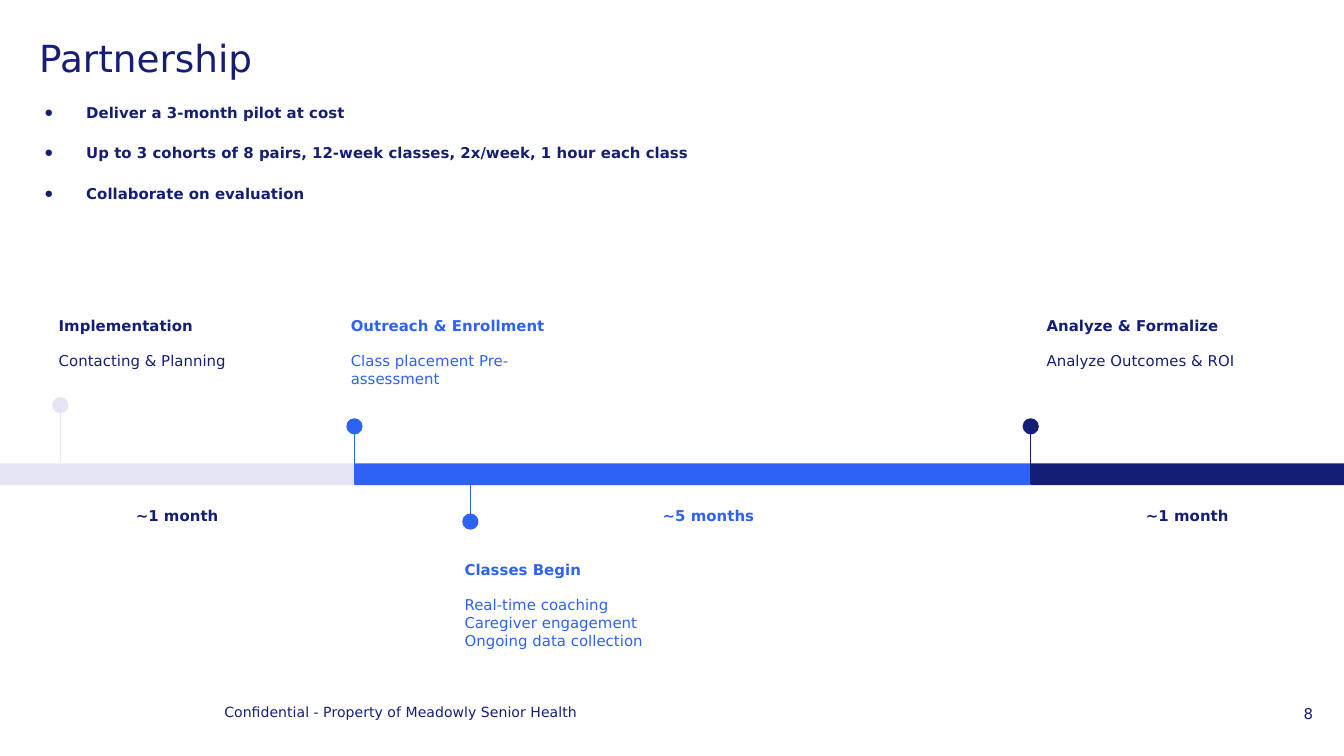
from lxml.etree import SubElement
from pptx import Presentation
from pptx.dml.color import RGBColor
from pptx.enum.shapes import MSO_CONNECTOR, MSO_SHAPE
from pptx.enum.text import MSO_ANCHOR, MSO_AUTO_SIZE, PP_ALIGN
from pptx.oxml.ns import qn
from pptx.util import Cm, Pt

FONT = "DejaVu Sans"
NAVY, BLUE, LILAC = "141E75", "2D62F5", "E4E4F5"
INSET = 0.25

PHASES = [
    (6.7, LILAC, "~1 month", NAVY, 0),
    (12.78, BLUE, "~5 months", BLUE, 0.3),
    (5.92, NAVY, "~1 month", NAVY, 0),
]
MILESTONES = [
    (1.14, -1.1, LILAC, NAVY, (0.86, -3.02, 5.03, 2.82),
     "Implementation", "Contacting & Planning"),
    (6.7, -0.7, BLUE, BLUE, (6.38, -3.02, 5.03, 2.82),
     "Outreach & Enrollment", "Class placement Pre-assessment"),
    (8.89, 1.1, BLUE, BLUE, (8.53, 1.58, 4.39, 2.82),
     "Classes Begin",
     "Real-time coaching Caregiver engagement\vOngoing data collection"),
    (19.48, -0.7, NAVY, NAVY, (19.53, -3.02, 5.03, 2.82),
     "Analyze & Formalize", "Analyze Outcomes & ROI"),
]
BULLETS = [
    "Deliver a 3-month pilot at cost",
    "Up to 3 cohorts of 8 pairs, 12-week classes, 2x/week, 1 hour each class",
    "Collaborate on evaluation",
]


def rgb(color):
    return RGBColor.from_string(color)


def write(tf, text, first=False, size=8, color=NAVY, bold=False,
          align=PP_ALIGN.LEFT, after=0, spacing=1.0):
    p = tf.paragraphs[0] if first else tf.add_paragraph()
    p.text = text
    p.alignment, p.line_spacing = align, spacing
    p.space_before, p.space_after = Pt(0), Pt(after)
    for r in p.runs:
        r.font.name, r.font.size, r.font.bold = FONT, Pt(size), bold
        r.font.color.rgb = rgb(color)
    return p


def setup_frame(tf, inset, anchor):
    tf.word_wrap, tf.auto_size = True, MSO_AUTO_SIZE.NONE
    tf.vertical_anchor = anchor
    tf.margin_left = tf.margin_right = Cm(inset)
    tf.margin_top = tf.margin_bottom = Cm(inset)
    return tf


def add_text(s, box, anchor=MSO_ANCHOR.TOP):
    sp = s.shapes.add_textbox(*map(Cm, box))
    return setup_frame(sp.text_frame, INSET, anchor)


def place(sp, box):
    sp.left, sp.top, sp.width, sp.height = map(Cm, box)
    return setup_frame(sp.text_frame, 0, MSO_ANCHOR.TOP)


def add_filled(s, kind, box, color):
    sp = s.shapes.add_shape(kind, *map(Cm, box))
    sp.shadow.inherit = False
    sp.fill.solid()
    sp.fill.fore_color.rgb = rgb(color)
    sp.line.fill.background()
    return sp


def add_title(s, box):
    write(place(s.shapes.title, box), "Partnership", first=True, size=20)


def add_bullets(s, box):
    tf = place(s.placeholders[1], box)
    for i, text in enumerate(BULLETS):
        p = write(tf, text, first=i == 0, bold=True, after=10.7, spacing=1.15)
        pPr = p._p.get_or_add_pPr()
        pPr.set("marL", str(Cm(1.27)))
        pPr.set("indent", str(-Cm(0.79)))
        buClr = SubElement(pPr, qn("a:buClr"))
        SubElement(buClr, qn("a:srgbClr"), val=NAVY)
        SubElement(pPr, qn("a:buChar"), char="●")


def add_pin(s, x, y, color, stem=1.08, d=0.28):
    end = y + stem if stem > 0 else y + stem
    c = s.shapes.add_connector(MSO_CONNECTOR.STRAIGHT,
                               Cm(x), Cm(y), Cm(x), Cm(end))
    c.line.color.rgb, c.line.width = rgb(color), Pt(0.75)
    SubElement(c._element.spPr, qn("a:effectLst"))
    dot = add_filled(s, MSO_SHAPE.OVAL, (x - d / 2, y - d / 2, d, d), color)
    dot.line.color.rgb, dot.line.width = rgb(color), Pt(0.75)


def add_timeline(s, box):
    left, top, _, height = box
    x, label_w = left, 4.01
    for width, fill, text, color, shift in PHASES:
        add_filled(s, MSO_SHAPE.RECTANGLE, (x, top, width, height), fill)
        label_x = x + (width - label_w) / 2 + shift
        tf = add_text(s, (label_x, top + 0.56, label_w, 2.82))
        write(tf, text, first=True, color=color, bold=True,
              align=PP_ALIGN.CENTER)
        x += width
    for pin_x, dy, fill, color, (dx, cap_y, w, h), head, detail in MILESTONES:
        add_pin(s, left + pin_x, top + dy, fill, 1.08 if dy < 0 else -1.08)
        tf = add_text(s, (left + dx, top + cap_y, w, h))
        write(tf, head, first=True, color=color, bold=True, after=9.3)
        write(tf, detail, color=color)


def add_footer(s, box):
    left, top, width, height = box
    tf = add_text(s, (left + 3.99, top + 0.05, 8.33, 0.84))
    write(tf, "Confidential - Property of Meadowly Senior Health",
          first=True, size=7.5, spacing=1.15)
    tf = add_text(s, (left + width - 1.85, top, 1.52, height),
                  MSO_ANCHOR.MIDDLE)
    write(tf, "8", first=True, align=PP_ALIGN.RIGHT)


def main():
    prs = Presentation()
    prs.slide_width, prs.slide_height = Cm(25.4), Cm(14.29)
    s = prs.slides.add_slide(prs.slide_layouts[1])
    add_title(s, (0.74, 0.66, 23.5, 1.6))
    add_bullets(s, (0.36, 1.9, 13.06, 2.72))
    add_timeline(s, (0, 8.76, 25.4, 0.41))
    add_footer(s, (0, 12.95, 25.4, 1.09))
    prs.save("out.pptx")


if __name__ == "__main__":
    main()
